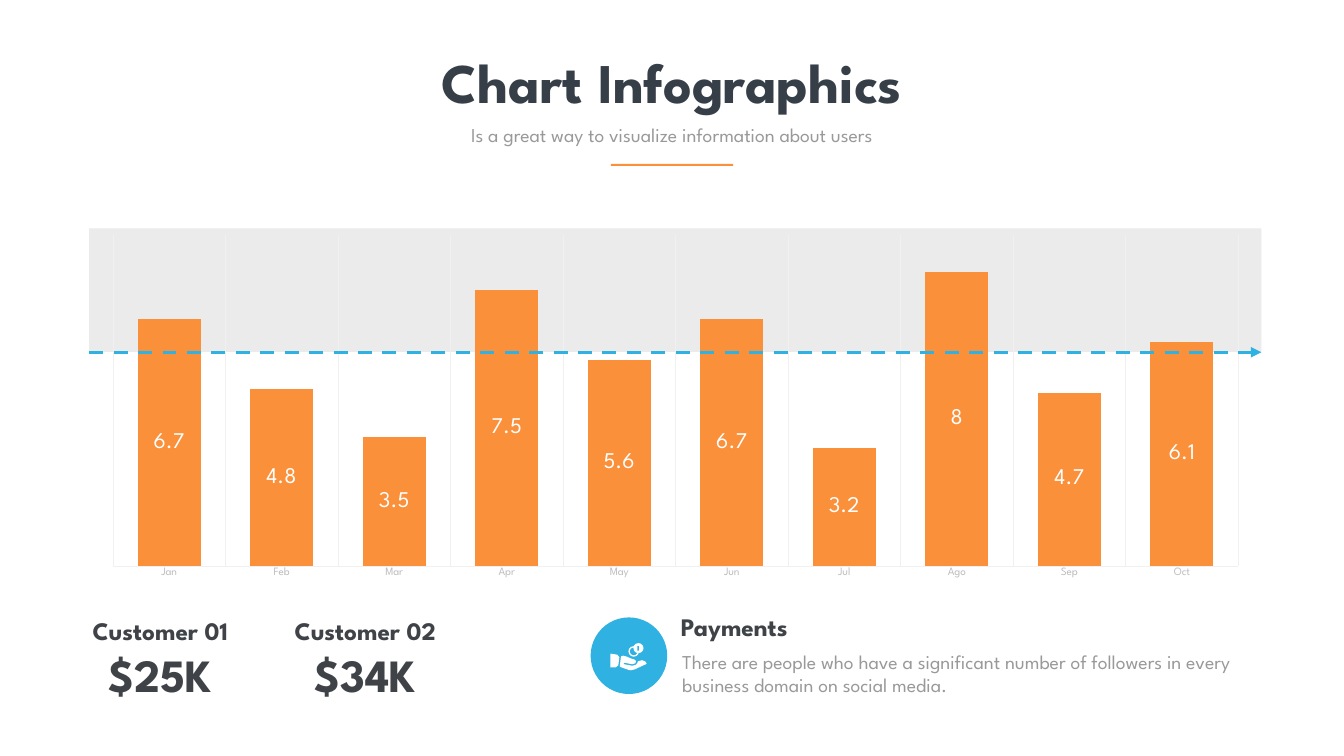
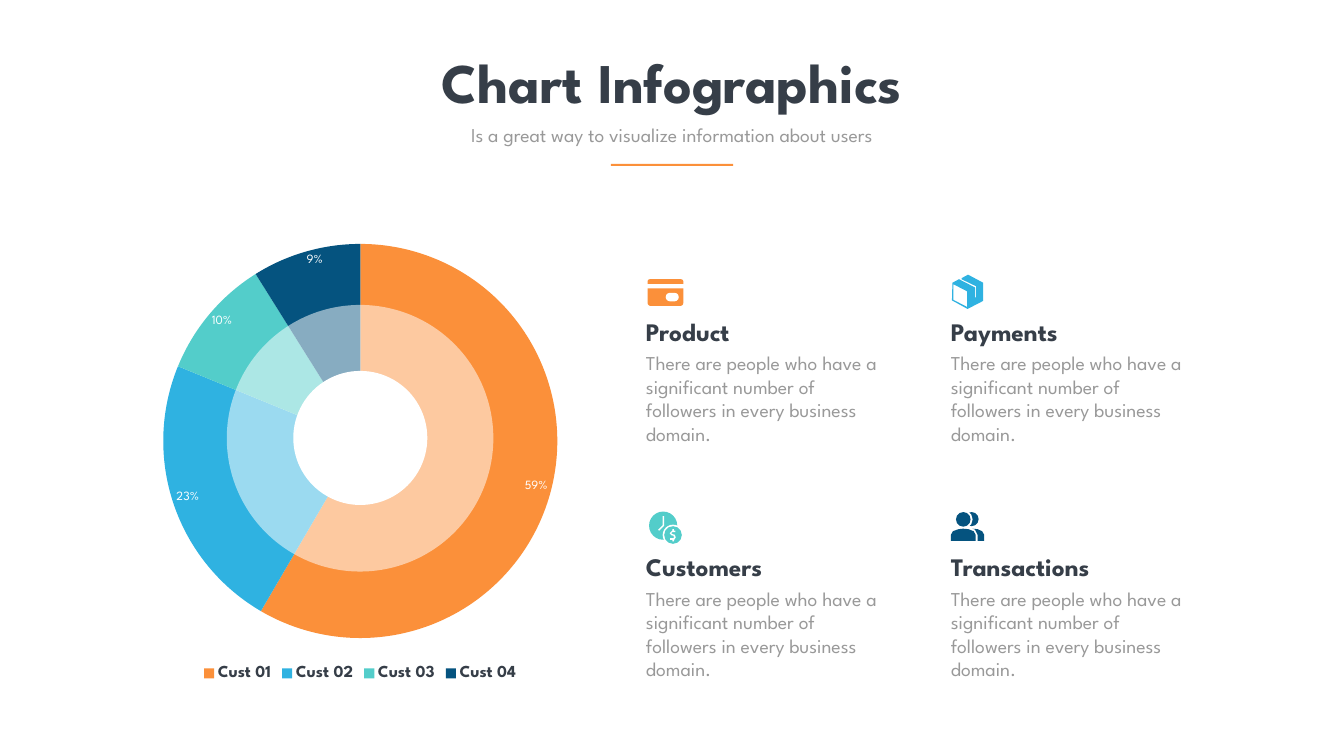
from lxml import etree
from pptx import Presentation
from pptx.chart.data import CategoryChartData
from pptx.dml.color import RGBColor
from pptx.enum.chart import (XL_CHART_TYPE, XL_LABEL_POSITION,
                             XL_LEGEND_POSITION, XL_TICK_MARK)
from pptx.enum.dml import MSO_LINE
from pptx.enum.shapes import MSO_CONNECTOR, MSO_SHAPE
from pptx.enum.text import MSO_ANCHOR, MSO_AUTO_SIZE, PP_ALIGN
from pptx.oxml.ns import qn
from pptx.util import Emu, Pt

EMU_PER_PX = 9144  # 100 px to the inch
FONT = "League Spartan"

ORANGE = RGBColor(0xFB, 0x90, 0x3A)
SKY = RGBColor(0x2F, 0xB2, 0xE1)
TEAL = RGBColor(0x53, 0xCD, 0xCA)
NAVY = RGBColor(0x05, 0x53, 0x7F)
INK = RGBColor(0x36, 0x3E, 0x48)
CHARCOAL = RGBColor(0x3F, 0x43, 0x47)
GRAY = RGBColor(0x99, 0x99, 0x99)
AXIS_GRAY = RGBColor(0xBD, 0xBD, 0xBD)
GRID = RGBColor(0xF0, 0xF0, 0xF0)
BAND = RGBColor(0xEB, 0xEB, 0xEB)
WHITE = RGBColor(0xFF, 0xFF, 0xFF)

OVAL, RECT = MSO_SHAPE.OVAL, MSO_SHAPE.RECTANGLE


def px(*lengths):
    return [Emu(length * EMU_PER_PX) for length in lengths]


def style_font(font, size, color, bold=False):
    font.name, font.size, font.bold = FONT, Pt(size), bold
    font.color.rgb = color


class Deck:
    """Holds the presentation style and the slide being filled."""

    def __init__(self, width, height):
        self.prs = Presentation()
        self.prs.slide_width, self.prs.slide_height = px(width, height)
        self.slide = None

    def new_slide(self, title, subtitle):
        self.slide = self.prs.slides.add_slide(self.prs.slide_layouts[6])
        self.text(title, (688, 90, 1291, 145), 80, INK, True, PP_ALIGN.CENTER)
        self.text(subtitle, (855, 238, 956, 57), 28, GRAY,
                  align=PP_ALIGN.CENTER)
        self.shape(RECT, (1212, 325, 243, 4), ORANGE)

    def text(self, words, box, size, color, bold=False, align=PP_ALIGN.LEFT,
             spacing=None, inset=None):
        frame = self.slide.shapes.add_textbox(*px(*box)).text_frame
        frame.text = words
        frame.word_wrap = True
        frame.auto_size = MSO_AUTO_SIZE.SHAPE_TO_FIT_TEXT
        if inset is not None:
            frame.vertical_anchor = MSO_ANCHOR.MIDDLE
            frame.margin_left, frame.margin_top = px(inset, inset)
            frame.margin_right, frame.margin_bottom = px(inset, inset)
        paragraph = frame.paragraphs[0]
        paragraph.alignment = align
        if spacing:
            paragraph.line_spacing = spacing
        style_font(paragraph.runs[0].font, size, color, bold)

    def paint(self, shape, color, opacity=100):
        shape.shadow.inherit = False
        shape.fill.solid()
        shape.fill.fore_color.rgb = color
        shape.line.fill.background()
        if opacity < 100:
            rgb = shape.fill._xPr.find(".//" + qn("a:srgbClr"))
            etree.SubElement(rgb, qn("a:alpha"), val=str(opacity * 1000))

    def shape(self, preset, box, color, opacity=100, adjust=()):
        shape = self.slide.shapes.add_shape(preset, *px(*box))
        for index, value in enumerate(adjust):
            shape.adjustments[index] = value
        self.paint(shape, color, opacity)

    def outline(self, color, *contours):
        """Draw closed contours as one shape; inner ones become holes."""
        first, *holes = contours
        builder = self.slide.shapes.build_freeform(*first[0], EMU_PER_PX)
        builder.add_line_segments(first[1:])
        for hole in holes:
            builder.move_to(*hole[0])
            builder.add_line_segments(hole[1:])
        self.paint(builder.convert_to_shape(), color)

    def dashed_arrow(self, start, end, color, width):
        arrow = self.slide.shapes.add_connector(
            MSO_CONNECTOR.STRAIGHT, *px(*start, *end))
        arrow.line.color.rgb = color
        arrow.line.width = Pt(width)
        arrow.line.dash_style = MSO_LINE.DASH
        line = arrow.line._get_or_add_ln()
        etree.SubElement(line, qn("a:tailEnd"), type="triangle")
        etree.SubElement(line.getparent(), qn("a:effectLst"))

    def chart(self, kind, box, plot_box, values, size, color):
        """Add a one-series chart whose plot fills plot_box."""
        data = CategoryChartData()
        data.categories = list(values)
        data.add_series("Series 1", list(values.values()))
        chart = self.slide.shapes.add_chart(kind, *px(*box), data).chart
        chart.has_title = chart.has_legend = False
        style_font(chart.font, size, color)

        area = chart._chartSpace.chart.plotArea
        for old in area.findall(qn("c:layout")):
            area.remove(old)
        layout = etree.Element(qn("c:layout"))
        manual = etree.SubElement(layout, qn("c:manualLayout"))
        left, top, width, height = box
        fractions = {"x": (plot_box[0] - left) / width,
                     "y": (plot_box[1] - top) / height,
                     "w": plot_box[2] / width, "h": plot_box[3] / height}
        settings = {"layoutTarget": "inner", "xMode": "edge", "yMode": "edge"}
        for tag, value in (settings | fractions).items():
            etree.SubElement(manual, qn("c:" + tag), val=str(value))
        area.insert(0, layout)
        return chart

    def data_labels(self, plot, size, position, number_format):
        plot.has_data_labels = True
        labels = plot.data_labels
        labels.show_value = True
        labels.position = position
        labels.number_format = number_format
        labels.number_format_is_linked = False
        style_font(labels.font, size, WHITE)

    def column_chart(self, box, plot_box, values, top_value):
        chart = self.chart(XL_CHART_TYPE.COLUMN_STACKED, box, plot_box,
                           values, 16, GRAY)
        plot = chart.plots[0]
        plot.gap_width, plot.overlap = 79, 100
        plot.vary_by_categories = False
        fill = plot.series[0].format.fill
        fill.solid()
        fill.fore_color.rgb = ORANGE
        self.data_labels(plot, 32, XL_LABEL_POSITION.CENTER, "General")

        scale = chart.value_axis
        scale.minimum_scale, scale.maximum_scale = 0, top_value
        scale.has_major_gridlines = scale.visible = False
        months = chart.category_axis
        months.major_tick_mark = XL_TICK_MARK.NONE
        months.has_major_gridlines = True
        style_font(months.tick_labels.font, 16, AXIS_GRAY)
        for line in (months.format.line, months.major_gridlines.format.line):
            line.color.rgb, line.width = GRID, Pt(0.75)

    def pie_chart(self, box, plot_box, values, colors):
        chart = self.chart(XL_CHART_TYPE.PIE, box, plot_box, values, 18, WHITE)
        plot = chart.plots[0]
        plot.vary_by_categories = True
        for index, color in enumerate(colors):
            fill = plot.series[0].points[index].format.fill
            fill.solid()
            fill.fore_color.rgb = color
        self.data_labels(plot, 18, XL_LABEL_POSITION.INSIDE_END, '0"%"')
        chart.has_legend = True
        chart.legend.position = XL_LEGEND_POSITION.BOTTOM
        chart.legend.include_in_layout = False
        style_font(chart.legend.font, 24, INK, True)


# Icons
def hand_with_coins(deck):
    deck.shape(OVAL, (1247, 1282, 21, 21), WHITE)
    deck.shape(OVAL, (1250, 1285, 15, 15), SKY)
    deck.shape(OVAL, (1257, 1276, 20, 20), WHITE)
    deck.shape(RECT, (1265, 1282, 3, 9), SKY)
    deck.outline(WHITE, [(1212, 1297), (1225, 1299), (1229, 1304),
                         (1227, 1320), (1222, 1324), (1211, 1324),
                         (1211, 1298)])
    deck.outline(WHITE, [
        (1274, 1310), (1266, 1312), (1265, 1315), (1262, 1319), (1255, 1321),
        (1239, 1318), (1237, 1316), (1239, 1315), (1255, 1318), (1261, 1316),
        (1262, 1312), (1260, 1309), (1251, 1306), (1244, 1303), (1237, 1301),
        (1233, 1302), (1232, 1305), (1230, 1321), (1230, 1323), (1247, 1329),
        (1252, 1330), (1260, 1328), (1277, 1320), (1282, 1318), (1283, 1316),
        (1280, 1312)])


def wallet(deck):
    corners = MSO_SHAPE.ROUND_2_SAME_RECTANGLE
    deck.shape(corners, (1285, 554, 71, 9), ORANGE, adjust=(0.5, 0))
    deck.shape(corners, (1285, 572, 71, 35), ORANGE, adjust=(0, 0.17))
    deck.shape(MSO_SHAPE.ROUNDED_RECTANGLE, (1321, 581, 26, 17), WHITE,
               adjust=(0.5,))


def parcel(deck):
    deck.outline(
        SKY,
        [(1951, 561), (1921, 545), (1908, 552), (1908, 554), (1937, 568),
         (1937, 590), (1935, 590), (1935, 571), (1934, 570), (1903, 554),
         (1890, 561), (1889, 596), (1920, 613), (1951, 597)],
        [(1919, 609), (1892, 595), (1892, 564), (1919, 578)])


def clock_with_coin(deck):
    deck.shape(OVAL, (1288, 1015, 56, 56), TEAL)
    deck.outline(WHITE, [(1315, 1024), (1318, 1024), (1318, 1043),
                         (1308, 1053), (1306, 1051), (1315, 1042)])
    deck.shape(OVAL, (1315, 1041, 41, 41), WHITE)
    deck.shape(OVAL, (1318, 1044, 35, 35), TEAL)
    deck.outline(WHITE, [
        (1340, 1053), (1340, 1056), (1334, 1056), (1332, 1058), (1335, 1060),
        (1339, 1061), (1341, 1066), (1338, 1071), (1337, 1074), (1334, 1074),
        (1334, 1071), (1330, 1071), (1330, 1068), (1336, 1068), (1338, 1066),
        (1336, 1063), (1332, 1062), (1329, 1058), (1334, 1053), (1334, 1050),
        (1337, 1050), (1337, 1053)])


def two_people(deck):
    deck.shape(OVAL, (1914, 1016, 28, 28), NAVY)
    deck.shape(OVAL, (1893, 1012, 37, 37), WHITE)
    deck.shape(OVAL, (1897, 1016, 29, 29), NAVY)
    deck.outline(NAVY, [(1930, 1049), (1940, 1050), (1949, 1054),
                        (1953, 1061), (1953, 1073), (1940, 1073),
                        (1940, 1061), (1935, 1051)])
    deck.outline(NAVY, [(1887, 1073), (1887, 1061), (1891, 1054),
                        (1902, 1050), (1911, 1049), (1922, 1050),
                        (1932, 1054), (1936, 1061), (1936, 1073)])


# Slides
TITLE = "Chart Infographics"
SUBTITLE = "Is a great way to visualize information about users"
PEOPLE = "There are people who have a significant number of followers in every business domain"
MONTHLY = {"Jan": 6.7, "Feb": 4.8, "Mar": 3.5, "Apr": 7.5, "May": 5.6,
           "Jun": 6.7, "Jul": 3.2, "Ago": 8, "Sep": 4.7, "Oct": 6.1}
SHARES = {"Cust 01": 59, "Cust 02": 23, "Cust 03": 10, "Cust 04": 9}


def monthly_slide(deck):
    deck.new_slide(TITLE, SUBTITLE)
    deck.shape(RECT, (177, 453, 2326, 245), BAND)
    deck.column_chart((177, 453, 2326, 709), (224, 466, 2233, 657),
                      MONTHLY, 9)
    deck.dashed_arrow((177, 699), (2503, 699), SKY, 5)

    # Customer totals
    totals = [("Customer 01", "$25K"), ("Customer 02", "$34K")]
    for column, (customer, total) in enumerate(totals):
        left = 125 + column * 407
        deck.text(customer, (left, 1231, 386, 54), 36, CHARCOAL, True,
                  PP_ALIGN.CENTER, 0.7, 6)
        deck.text(total, (left, 1277, 386, 122), 66, CHARCOAL, True,
                  PP_ALIGN.CENTER, inset=6)

    # Payments note
    deck.shape(OVAL, (1172, 1225, 152, 152), SKY)
    deck.text(PEOPLE + " on social media.", (1344, 1284, 1204, 104), 28, GRAY)
    deck.text("Payments", (1345, 1224, 386, 54), 36, CHARCOAL, True,
              spacing=0.7, inset=6)
    hand_with_coins(deck)


def shares_slide(deck):
    deck.new_slide(TITLE, SUBTITLE)
    deck.pie_chart((311, 439, 807, 919), (324, 484, 782, 782), SHARES,
                   (ORANGE, SKY, TEAL, NAVY))
    deck.shape(OVAL, (450, 605, 529, 529), WHITE, opacity=52)
    deck.shape(OVAL, (582, 736, 266, 266), WHITE)

    # Topic grid
    topics = [("Product", wallet), ("Payments", parcel),
              ("Customers", clock_with_coin), ("Transactions", two_people)]
    for index, (topic, draw_icon) in enumerate(topics):
        row, column = divmod(index, 2)
        left, top = 1272 + column * 605, 622 + row * 467
        draw_icon(deck)
        deck.text(topic, (left, top, 478, 71), 36, INK, True)
        deck.text(PEOPLE + ".", (left, top + 70, 478, 199), 28, GRAY)


def main():
    deck = Deck(2667, 1500)
    monthly_slide(deck)
    shares_slide(deck)
    deck.prs.save("out.pptx")


if __name__ == "__main__":
    main()
